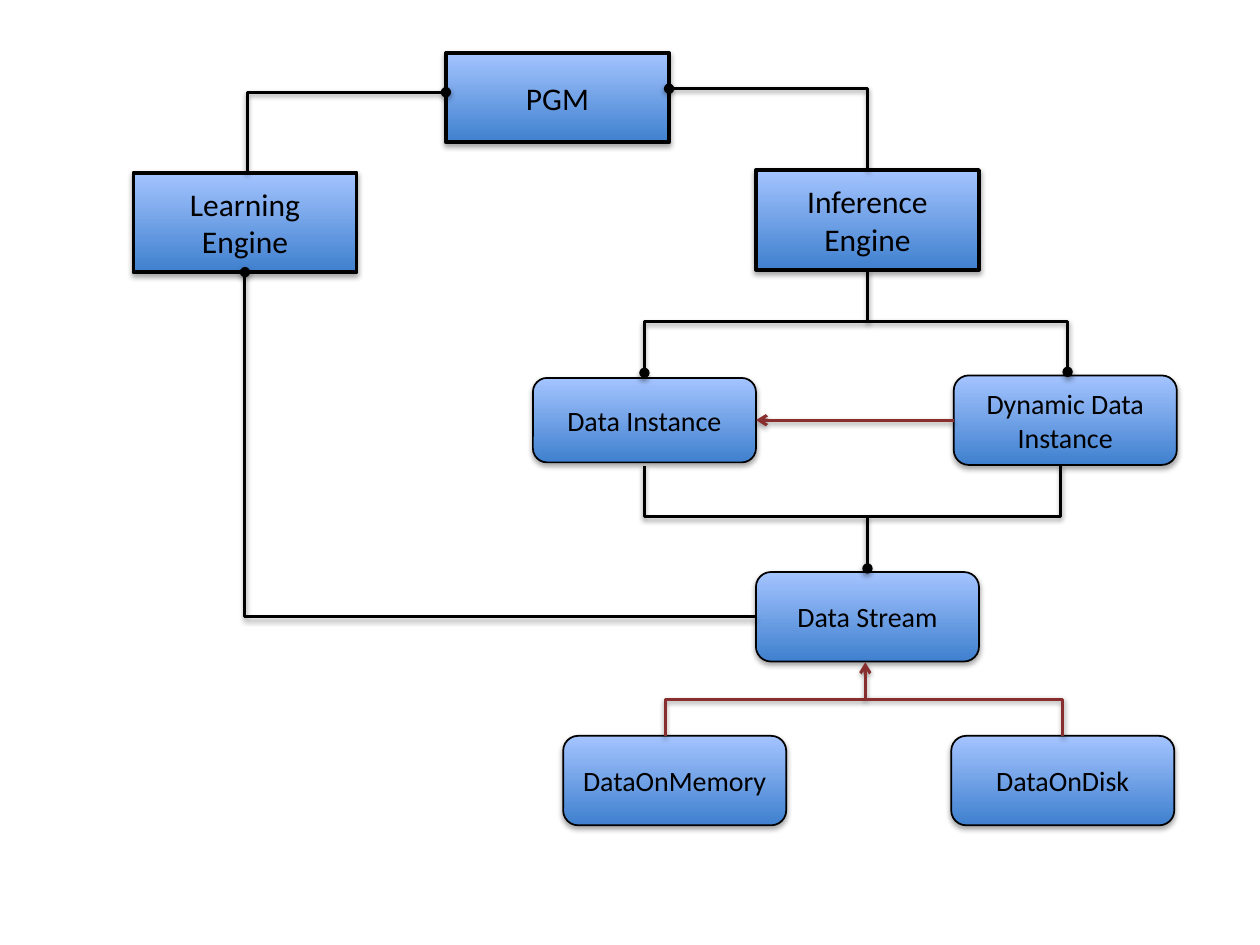
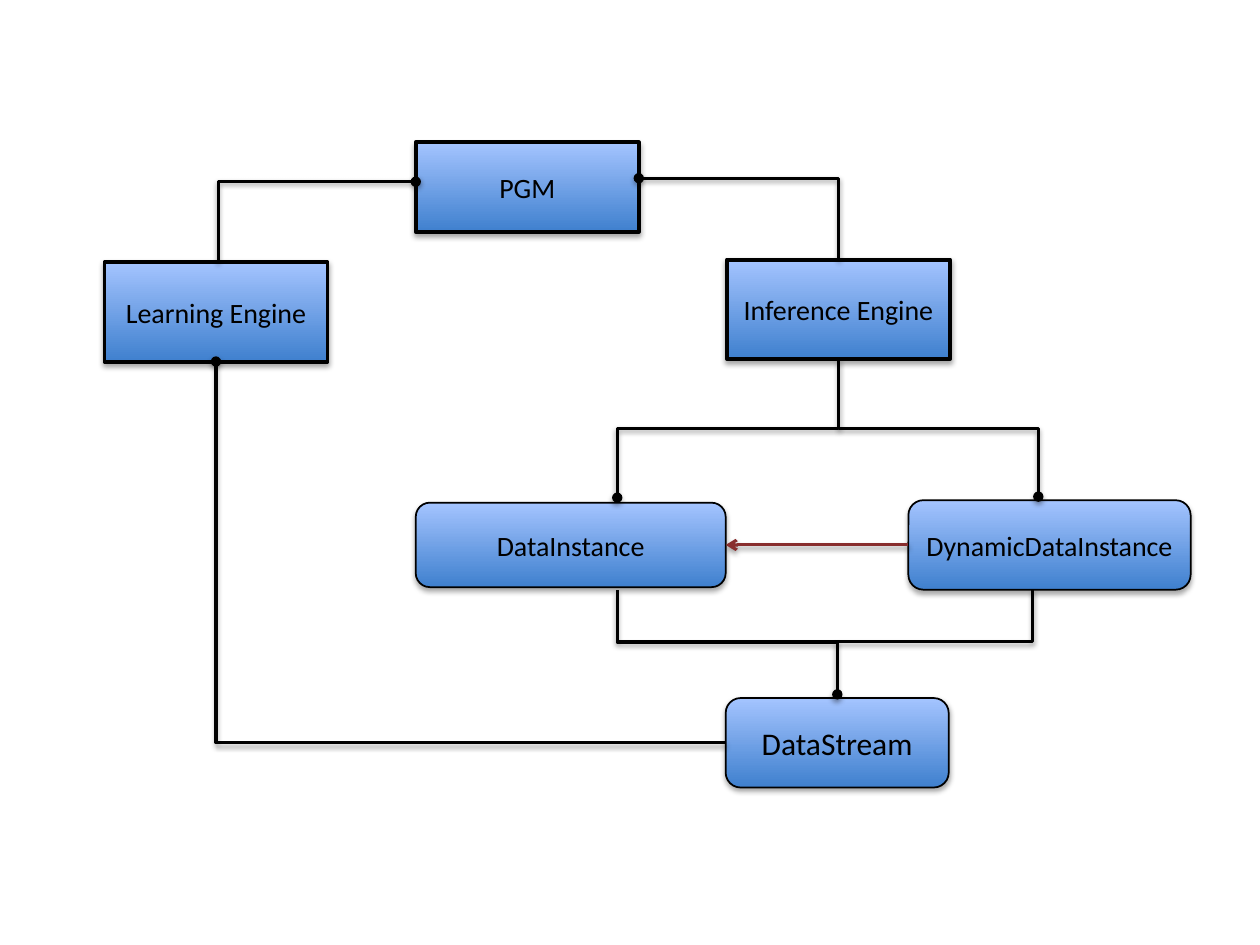
from lxml import etree
from pptx import Presentation
from pptx.dml.color import RGBColor
from pptx.enum.shapes import MSO_CONNECTOR, MSO_SHAPE
from pptx.enum.text import MSO_ANCHOR, PP_ALIGN
from pptx.oxml.ns import qn
from pptx.util import Inches, Pt

RECT, ROUND = MSO_SHAPE.RECTANGLE, MSO_SHAPE.ROUNDED_RECTANGLE
ELBOW, STRAIGHT = MSO_CONNECTOR.ELBOW, MSO_CONNECTOR.STRAIGHT
LEFT, RIGHT = 1, 3
FONT = "Calibri"
COLORS = {"ink": "000000", "inherit": "882E2E", "bottom": "3F80CE", "top": "A4C4FF"}
BORDER = {RECT: 2.25, ROUND: 1}
W, H = 1.77, 0.71

# Boxes: text, shape, (left, top, width, height) in inches, text size.
# Taps: share of a box's width where its links attach, if not the middle.
SLIDES = [
    {
        "boxes": {
            "stream": ("Data Stream", ROUND, (6, 4.54, W, H), 16),
            "instance": ("Data Instance", ROUND, (4.23, 3, W, 0.67), 16),
            "memory": ("DataOnMemory", ROUND, (4.47, 5.84, W, H), 16),
            "disk": ("DataOnDisk", ROUND, (7.55, 5.84, W, H), 16),
            "pgm": ("PGM", RECT, (3.54, 0.42, W, H), 18),
            "inference": ("Inference Engine", RECT, (6, 1.35, W, 0.79), 18),
            "learning": ("Learning Engine", RECT, (1.06, 1.37, W, 0.79), 18),
            "dynamic": ("Dynamic Data Instance", ROUND, (7.57, 2.98, W, H), 16),
        },
        "taps": {"instance": 0.5, "dynamic top": 0.51, "dynamic bottom": 0.48},
    },
    {
        "boxes": {
            "stream": ("DataStream", ROUND, (5.76, 5.54, W, H), 18),
            "instance": ("DataInstance", ROUND, (3.3, 3.99, 2.46, 0.67), 16),
            "pgm": ("PGM", RECT, (3.3, 1.13, W, H), 16),
            "inference": ("Inference Engine", RECT, (5.77, 2.06, W, 0.79), 16),
            "learning": ("Learning Engine", RECT, (0.83, 2.08, W, 0.79), 16),
            "dynamic": ("DynamicDataInstance", ROUND, (7.21, 3.97, 2.24, H), 16),
        },
        "taps": {"instance": 0.65, "dynamic top": 0.46, "dynamic bottom": 0.44},
    },
]


def rgb(name):
    return RGBColor.from_string(COLORS[name])


def add_shadow(spPr, blur, dist, alpha):
    effects = etree.SubElement(spPr, qn("a:effectLst"))
    shadow = etree.SubElement(effects, qn("a:outerShdw"), blurRad=str(Pt(blur)),
                              dist=str(Pt(dist)), dir="5400000", rotWithShape="0")
    color = etree.SubElement(shadow, qn("a:srgbClr"), val=COLORS["ink"])
    etree.SubElement(color, qn("a:alpha"), val=str(alpha * 1000))


def write(shape, text, size, color="ink", font=FONT):
    tf = shape.text_frame
    tf.word_wrap = True
    tf.vertical_anchor = MSO_ANCHOR.MIDDLE
    p = tf.paragraphs[0]
    p.alignment = PP_ALIGN.CENTER
    r = p.add_run()
    r.text = text
    r.font.size, r.font.name = Pt(size), font
    r.font.color.rgb = rgb(color)


def add_box(s, text, kind, place, size):
    sp = s.shapes.add_shape(kind, *map(Inches, place))
    sp.fill.gradient()
    sp.fill.gradient_angle = 90
    for stop, name in zip(sp.fill.gradient_stops, ("bottom", "top")):
        stop.color.rgb = rgb(name)
    sp.line.color.rgb = rgb("ink")
    sp.line.width = Pt(BORDER[kind])
    add_shadow(sp.element.spPr, 3.1, 1.8, 35)
    write(sp, text, size)
    return sp


def add_link(s, kind, start, end, color="ink", head=None, tail=None):
    c = s.shapes.add_connector(kind, *map(Inches, (*start, *end)))
    c.line.color.rgb = rgb(color)
    c.line.width = Pt(1.75)
    spPr = c.element.spPr
    ln = spPr.get_or_add_ln()
    etree.SubElement(ln, qn("a:round"))
    for tag, mark in (("a:headEnd", head), ("a:tailEnd", tail)):
        if mark:
            etree.SubElement(ln, qn(tag), type=mark)
    add_shadow(spPr, 3.1, 1.6, 38)
    return c


def add_corner(s, start, end, **look):
    """Run horizontally from start, then vertically to end."""
    c = add_link(s, ELBOW, start, end, **look)
    c.element.spPr.find(qn("a:prstGeom")).set("prst", "bentConnector2")


def add_step(s, start, end, **look):
    """Run vertically, horizontally, vertically: an elbow turned by 90 degrees."""
    (x0, y0), (x1, y1) = start, end
    cx, cy = (x0 + x1) / 2, (y0 + y1) / 2
    dx, dy = (x1 - x0) / 2, (y1 - y0) / 2
    c = add_link(s, ELBOW, (cx - dy, cy + dx), (cx + dy, cy - dx), **look)
    c.element.spPr.find(qn("a:xfrm")).set("rot", "5400000")


def add_fork(s, low, high, stem, branch, branch_tail=None, **look):
    """Step from low to high, with a second branch leaving the stem halfway."""
    add_step(s, low, high, **look)
    add_corner(s, (stem[0], (low[1] + high[1]) / 2), branch,
               color=look.get("color", "ink"), tail=branch_tail)


def add_diagram(s, boxes, taps):
    shapes = {key: add_box(s, *box) for key, box in boxes.items()}

    def at(key, across, down):
        """Point at shares of a box's width and height."""
        x, y, w, h = boxes[key][2]
        return x + across * w, y + down * h

    add_corner(s, at("pgm", 1, 0.4), at("inference", 0.5, 0), head="oval")
    add_corner(s, at("pgm", 0, 0.44), at("learning", 0.51, 0), head="oval")
    add_corner(s, at("stream", 0, 0.5), at("learning", 0.5, 1), tail="oval")

    engine = at("inference", 0.5, 1)
    add_fork(s, at("instance", taps["instance"], -0.06), engine, engine,
             at("dynamic", taps["dynamic top"], -0.04), head="oval", branch_tail="oval")
    stream = at("stream", 0.5, -0.04)
    add_fork(s, stream, at("dynamic", taps["dynamic bottom"], 1), stream,
             at("instance", taps["instance"], 1.04), head="oval")

    parent = add_link(s, STRAIGHT, at("dynamic", 0, 0.5), at("instance", 1, 0.5),
                      color="inherit", tail="arrow")
    parent.begin_connect(shapes["dynamic"], LEFT)
    parent.end_connect(shapes["instance"], RIGHT)
    if "memory" in boxes:
        base = at("stream", 0.49, 1.01)
        add_fork(s, at("memory", 0.46, 0), base, base, at("disk", 0.5, 0),
                 color="inherit", tail="arrow")


def main():
    prs = Presentation()
    prs.slide_width, prs.slide_height = Inches(10), Inches(7.5)
    for content in SLIDES:
        add_diagram(prs.slides.add_slide(prs.slide_layouts[6]), **content)
    prs.save("out.pptx")


if __name__ == "__main__":
    main()
